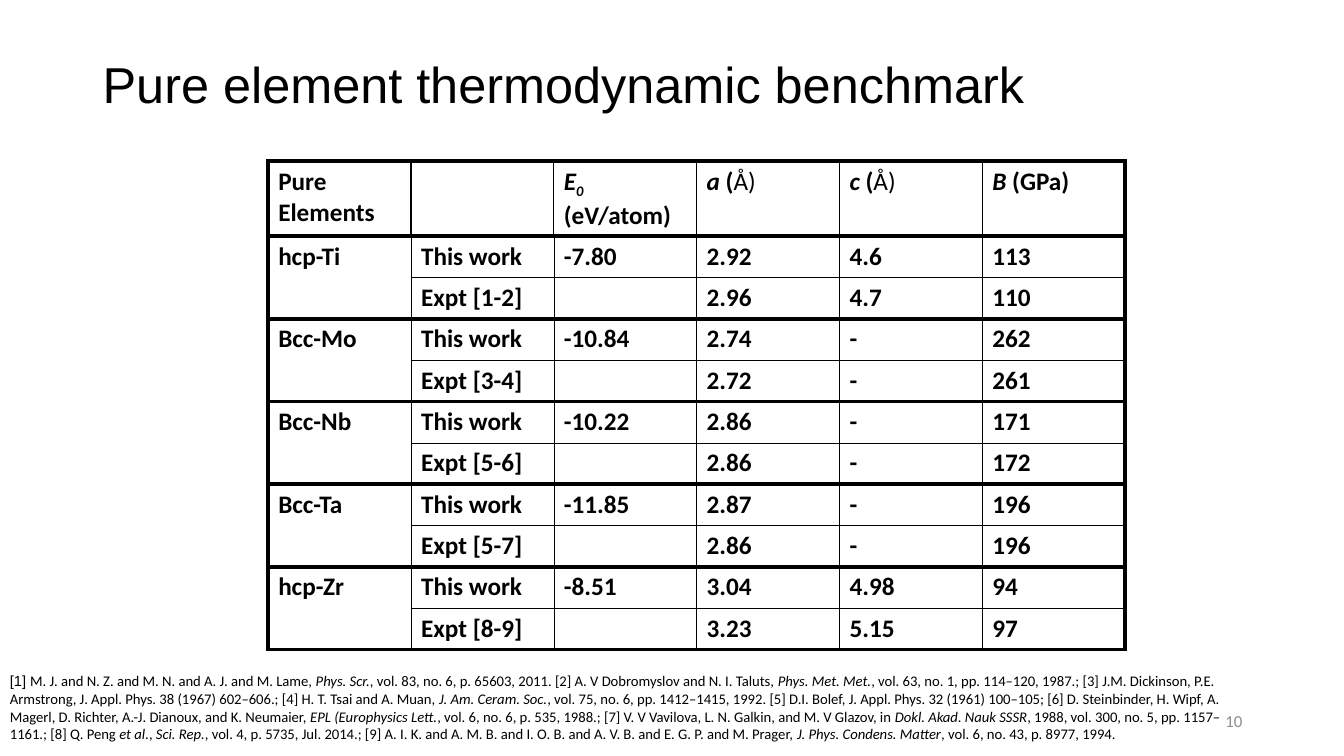
from dataclasses import dataclass

from lxml import etree
from pptx import Presentation
from pptx.dml.color import RGBColor
from pptx.enum.text import MSO_ANCHOR, PP_ALIGN
from pptx.oxml.ns import qn
from pptx.util import Inches, Pt

LEFT, RIGHT = PP_ALIGN.LEFT, PP_ALIGN.RIGHT
TOP, MIDDLE = MSO_ANCHOR.TOP, MSO_ANCHOR.MIDDLE


@dataclass(frozen=True)
class Theme:
    """Colours, fonts, type sizes and line widths of the slide."""
    ink: str = "000000"
    muted: str = "8C8C8C"
    heading_font: str = "Arial"
    body_font: str = "Calibri"
    title_size: float = 36
    table_size: float = 18
    number_size: float = 12
    reference_size: float = 10.5
    heavy_line: float = 3
    header_line: float = 1
    thin_line: float = 0.5


THEME = Theme()

HEADER = [
    [("Pure Elements", "b")],
    [],
    [("E", "bi"), ("0 ", "bis"), ("(eV/atom)", "b")],
    [("a", "bi"), (" (", "b"), ("Å)", "")],
    [("c", "bi"), (" (", "b"), ("Å)", "")],
    [("B", "bi"), (" (GPa)", "b")],
]

MEASUREMENTS = [
    ("hcp-Ti", "This work", "-7.80", "2.92", "4.6", "113"),
    ("", "Expt [1-2]", "", "2.96", "4.7", "110"),
    ("Bcc-Mo", "This work", "-10.84", "2.74", "-", "262"),
    ("", "Expt [3-4]", "", "2.72", "-", "261"),
    ("Bcc-Nb", "This work", "-10.22", "2.86", "-", "171"),
    ("", "Expt [5-6]", "", "2.86", "-", "172"),
    ("Bcc-Ta", "This work", "-11.85", "2.87", "-", "196"),
    ("", "Expt [5-7]", "", "2.86", "-", "196"),
    ("hcp-Zr", "This work", "-8.51", "3.04", "4.98", "94"),
    ("", "Expt [8-9]", "", "3.23", "5.15", "97"),
]

REFERENCES = [
    ("[1] ", "h"),
    ("M. J. and N. Z. and M. N. and A. J. and M. Lame, ", ""),
    ("Phys. Scr.", "i"),
    (", vol. 83, no. 6, p. 65603, 2011. [2] A. V Dobromyslov and N. I. Taluts, ", ""),
    ("Phys. Met. Met.", "i"),
    (", vol. 63, no. 1, pp. 114–120, 1987.; [3] J.M. Dickinson, P.E. Armstrong, "
     "J. Appl. Phys. 38 (1967) 602–606.; [4] H. T. Tsai and A. Muan, ", ""),
    ("J. Am. Ceram. Soc.", "i"),
    (", vol. 75, no. 6, pp. 1412–1415, 1992. [5] D.I. Bolef, J. Appl. Phys. 32 (1961) "
     "100–105; [6] D. Steinbinder, H. Wipf, A. Magerl, D. Richter, A.-J. Dianoux, "
     "and K. Neumaier, ", ""),
    ("EPL (Europhysics Lett.", "i"),
    (", vol. 6, no. 6, p. 535, 1988.; [7] V. V Vavilova, L. N. Galkin, "
     "and M. V Glazov, in ", ""),
    ("Dokl. Akad. Nauk SSSR", "i"),
    (", 1988, vol. 300, no. 5, pp. 1157–1161.; [8] Q. Peng ", ""),
    ("et al.", "i"),
    (", ", ""),
    ("Sci. Rep.", "i"),
    (", vol. 4, p. 5735, Jul. 2014.; [9] A. I. K. and A. M. B. and I. O. B. "
     "and A. V. B. and E. G. P. and M. Prager, ", ""),
    ("J. Phys. Condens. Matter", "i"),
    (", vol. 6, no. 43, p. 8977, 1994.", ""),
]


def add_runs(paragraph, runs, size, color=THEME.ink):
    """Write runs styled by letters: b bold, i italic, s subscript, h heading font."""
    for text, style in runs:
        run = paragraph.add_run()
        run.text = text
        font = run.font
        font.name = THEME.heading_font if "h" in style else THEME.body_font
        font.size = Pt(size)
        font.bold = "b" in style
        font.italic = "i" in style
        font.color.rgb = RGBColor.from_string(color)
        if "s" in style:
            run._r.get_or_add_rPr().set("baseline", "-25000")


def add_text(slide, box, runs, size, color=THEME.ink, align=LEFT, anchor=TOP, spacing=1.0):
    """Add a wrapping text box that holds one paragraph."""
    shape = slide.shapes.add_textbox(*(Inches(length) for length in box))
    frame = shape.text_frame
    frame.word_wrap = True
    frame.vertical_anchor = anchor
    paragraph = frame.paragraphs[0]
    paragraph.alignment = align
    paragraph.line_spacing = spacing
    add_runs(paragraph, runs, size, color)


def set_borders(cell, widths):
    """Draw the left, right, top and bottom borders of a cell."""
    properties = cell._tc.get_or_add_tcPr()
    for side, width in zip("LRTB", widths):
        line = etree.SubElement(properties, qn(f"a:ln{side}"), w=str(Pt(width)))
        fill = etree.SubElement(line, qn("a:solidFill"))
        etree.SubElement(fill, qn("a:srgbClr"), val=THEME.ink)


def border_widths(row, column, last_column):
    """Frame the table and each pair of rows with heavy lines."""
    inner = THEME.thin_line if row else THEME.header_line
    heavy_sides = (
        (column == 0, inner),
        (column == last_column, inner),
        (row == 0 or row % 2 == 1 or column == 0, THEME.thin_line),
        (row % 2 == 0 or column == 0, THEME.thin_line),
    )
    return [THEME.heavy_line if heavy else light for heavy, light in heavy_sides]


def add_benchmark_table(slide):
    """Add the table that compares this work with experiment."""
    rows = [HEADER] + [
        [[(text, "b")] if text else [] for text in measurement]
        for measurement in MEASUREMENTS
    ]
    last_column = len(HEADER) - 1
    table = slide.shapes.add_table(
        len(rows), len(HEADER), Inches(2.66), Inches(1.6), Inches(8.5), Inches(4.76)
    ).table
    table.first_row = False
    table.horz_banding = False
    for index, row in enumerate(table.rows):
        row.height = Inches(0.41 if index else 0.63)
    for row_index, row in enumerate(rows):
        for column_index, runs in enumerate(row):
            cell = table.cell(row_index, column_index)
            set_borders(cell, border_widths(row_index, column_index, last_column))
            cell.fill.background()
            add_runs(cell.text_frame.paragraphs[0], runs, THEME.table_size)
    for start in range(1, len(rows), 2):
        table.cell(start, 0).merge(table.cell(start + 1, 0))


def main():
    """Build the slide and save it."""
    presentation = Presentation()
    presentation.slide_width = Inches(13.33)
    presentation.slide_height = Inches(7.5)
    slide = presentation.slides.add_slide(presentation.slide_layouts[6])
    add_benchmark_table(slide)
    add_text(slide, (0, 6.62, 12.26, 0.81), REFERENCES, THEME.reference_size)
    add_text(slide, (9.42, 6.95, 3, 0.4), [("10", "")], THEME.number_size,
             color=THEME.muted, align=RIGHT, anchor=MIDDLE)
    add_text(slide, (0.92, 0.4, 11.5, 0.93), [("Pure element thermodynamic benchmark", "h")],
             THEME.title_size, anchor=MIDDLE, spacing=0.9)
    presentation.save("out.pptx")


if __name__ == "__main__":
    main()
